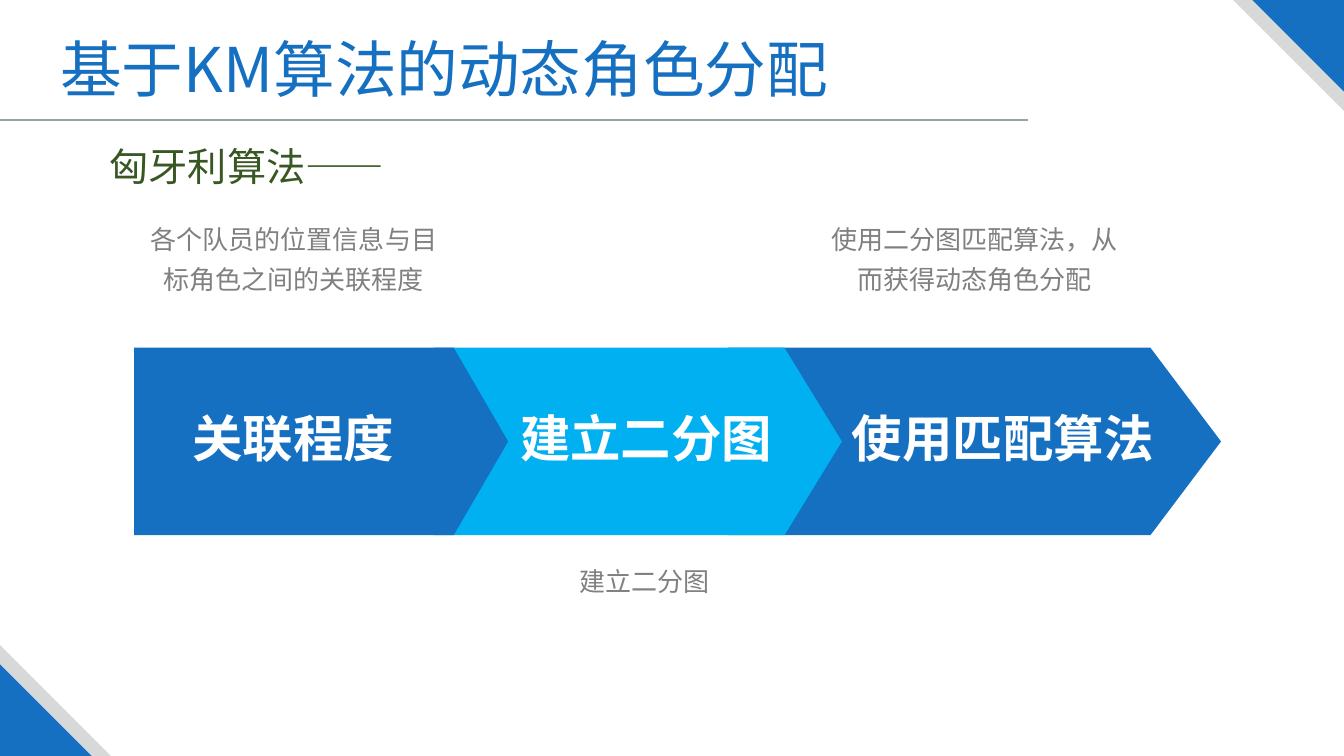
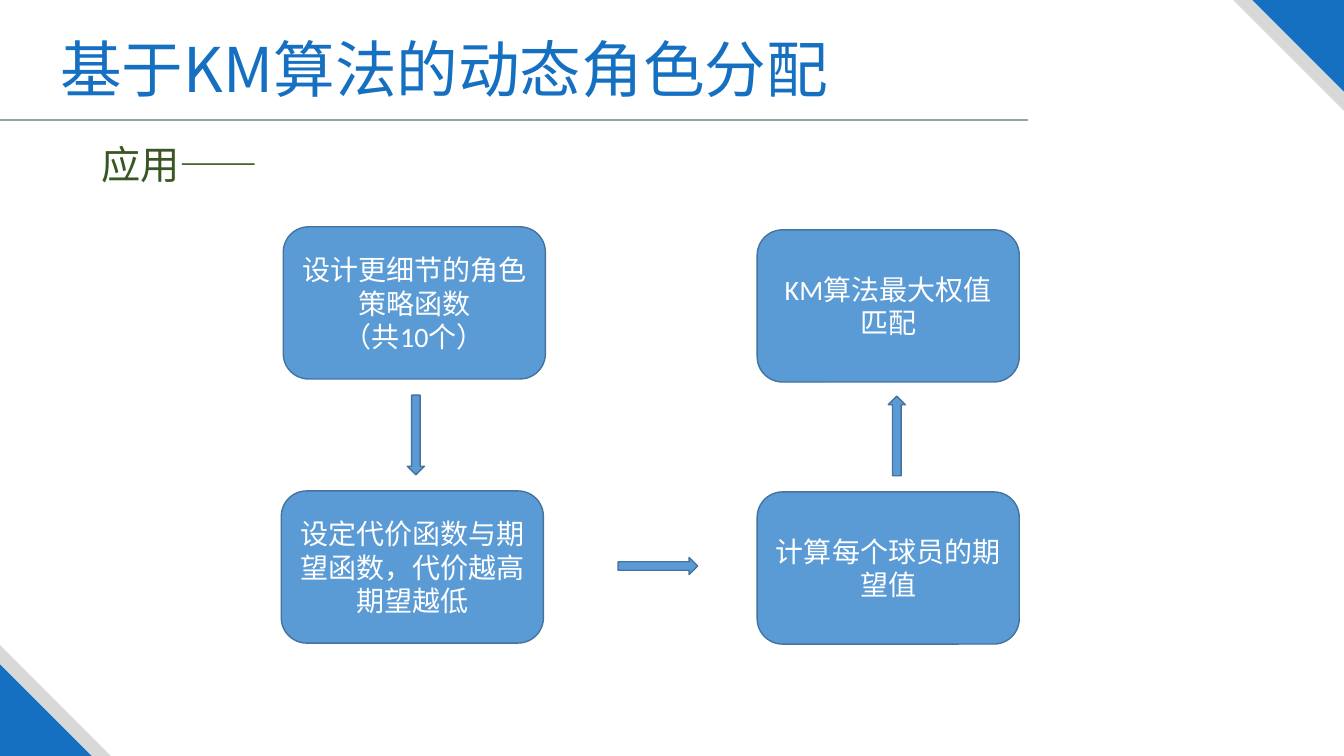
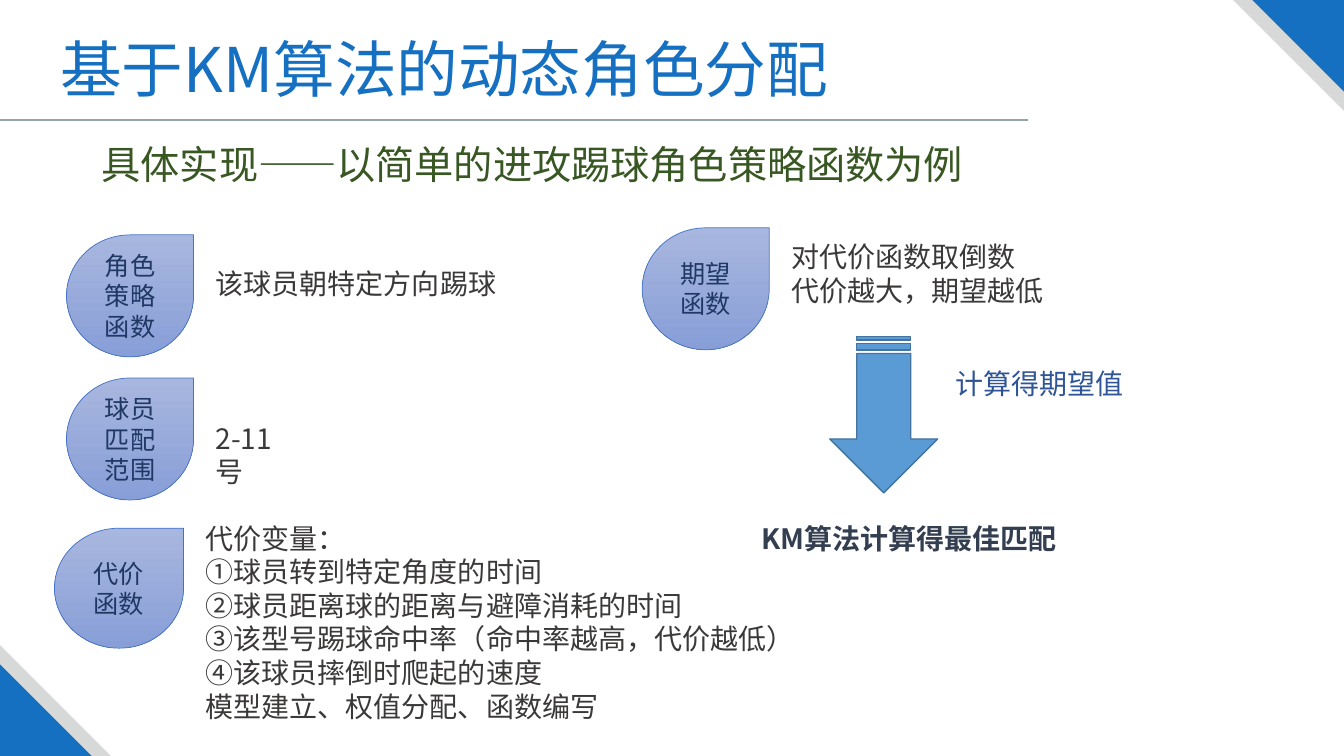
from lxml.etree import SubElement
from pptx import Presentation
from pptx.dml.color import RGBColor
from pptx.enum.shapes import MSO_CONNECTOR, MSO_SHAPE
from pptx.enum.text import MSO_ANCHOR, PP_ALIGN
from pptx.oxml.ns import qn
from pptx.util import Inches, Pt

WIDTH, HEIGHT = 13.33, 7.5
BLUE, SKY, PALE = "1570C1", "00B0F0", "D7D8D8"
FLOW, FLOW_EDGE = "5B9BD5", "43739E"
DROP_TOP, DROP_BOTTOM, DROP_EDGE, DROP_TEXT = "A8B7DF", "889ED7", "4472C4", "203864"
RULE, GREEN, GREY, INK, WHITE = "95A5A6", "385723", "808080", "3B3838", "FFFFFF"
CJK = "Noto Sans CJK SC"


def rgb(value):
    return RGBColor.from_string(value)


class Deck:
    """Holds the shared style and draws elements on the current slide."""

    def __init__(self):
        self.prs = Presentation()
        self.prs.slide_width, self.prs.slide_height = Inches(WIDTH), Inches(HEIGHT)

    def new_slide(self, subtitle, left, top):
        self.shapes = self.prs.slides.add_slide(self.prs.slide_layouts[6]).shapes
        for size, color in ((1.1, PALE), (0.91, BLUE)):
            self.shape(MSO_SHAPE.RIGHT_TRIANGLE, (0, HEIGHT - size, size, size), color)
            self.shape(MSO_SHAPE.RIGHT_TRIANGLE, (WIDTH - size, 0, size, size), color, rotation=180)
        rule = self.shapes.add_connector(
            MSO_CONNECTOR.STRAIGHT, 0, Inches(1.19), Inches(10.2), Inches(1.19))
        rule.line.color.rgb = rgb(RULE)
        rule.line.width = Pt(2)
        SubElement(rule._element.spPr, qn("a:effectLst"))
        self.text("基于KM算法的动态角色分配", (0.5, 0.26, 8.8, 0.84), 44, BLUE)
        self.text(subtitle, (left, top, 8.84, 0.57), 28, GREEN)

    def paint(self, shape, fill, edge=None, weight=1):
        shape.shadow.inherit = False
        shape.fill.solid()
        shape.fill.fore_color.rgb = rgb(fill)
        if edge:
            shape.line.color.rgb = rgb(edge)
            shape.line.width = Pt(weight)
        else:
            shape.line.fill.background()

    def shape(self, preset, box, fill, edge=None, weight=1, rotation=0):
        shape = self.shapes.add_shape(preset, *map(Inches, box))
        self.paint(shape, fill, edge, weight)
        shape.rotation = rotation
        return shape

    def outline(self, points, fill):
        corners = [(Inches(x), Inches(y)) for x, y in points]
        builder = self.shapes.build_freeform(*corners[0])
        builder.add_line_segments(corners[1:], close=True)
        self.paint(builder.convert_to_shape(), fill)

    def set_text(self, shape, text, size, color, font=CJK, bold=False,
                 align=PP_ALIGN.LEFT, anchor=MSO_ANCHOR.TOP, spacing=None):
        frame = shape.text_frame
        frame.word_wrap = True
        frame.vertical_anchor = anchor
        frame.text = text
        for paragraph in frame.paragraphs:
            paragraph.alignment = align
            if spacing:
                paragraph.line_spacing = spacing
            paragraph.font.size = Pt(size)
            paragraph.font.bold = bold
            paragraph.font.color.rgb = rgb(color)
            paragraph.font.name = font
            SubElement(paragraph.font._element, qn("a:ea"), typeface=CJK)

    def text(self, text, box, size, color, **style):
        self.set_text(self.shapes.add_textbox(*map(Inches, box)), text, size, color, **style)

    def step(self, text, left, top):
        card = self.shape(MSO_SHAPE.ROUNDED_RECTANGLE, (left, top, 2.6, 1.51), FLOW, FLOW_EDGE)
        self.set_text(card, text, 20, WHITE, font="Calibri",
                      align=PP_ALIGN.CENTER, anchor=MSO_ANCHOR.MIDDLE)

    def arrow(self, left, top, rotation):
        self.shape(MSO_SHAPE.DOWN_ARROW, (left, top, 0.17, 0.79), FLOW, FLOW_EDGE, rotation=rotation)

    def drop(self, text, box):
        drop = self.shape(MSO_SHAPE.TEAR, box, DROP_TOP, DROP_EDGE, 0.5)
        drop.fill.gradient()
        drop.fill.gradient_angle = 270
        for stop, color in zip(drop.fill.gradient_stops, (DROP_TOP, DROP_BOTTOM)):
            stop.color.rgb = rgb(color)
        self.set_text(drop, text, 18, DROP_TEXT, align=PP_ALIGN.CENTER, anchor=MSO_ANCHOR.MIDDLE)


def hungarian_slide(deck):
    deck.new_slide("匈牙利算法——", 0.99, 1.36)
    top, middle, bottom = 3.45, 4.38, 5.31
    for label, label_left, label_width, left, shoulder, tip, color in (
            ("使用匹配算法", 8.35, 3.57, 7.22, 11.41, 12.11, BLUE),
            ("建立二分图", 5.06, 2.79, 4.3, 7.78, 8.35, SKY),
            ("关联程度", 1.81, 2.3, 1.33, 4.5, 5.04, BLUE)):
        deck.outline([(left, top), (shoulder, top), (tip, middle),
                      (shoulder, bottom), (left, bottom)], color)
        deck.text(label, (label_left, 3.99, label_width, 0.77), 36, WHITE, bold=True)
    for caption, left, caption_top, height in (
            ("各个队员的位置信息与目标角色之间的关联程度", 1.33, 2.07, 1.01),
            ("建立二分图", 4.81, 5.47, 0.56),
            ("使用二分图匹配算法，从而获得动态角色分配", 8.08, 2.07, 1.01)):
        deck.text(caption, (left, caption_top, 3.17, height), 18.6, GREY,
                  align=PP_ALIGN.CENTER, spacing=1.3)


def application_slide(deck):
    deck.new_slide("应用——", 0.91, 1.34)
    for step in (("设计更细节的角色策略函数\n（共10个）", 2.81, 2.25),
                 ("设定代价函数与期望函数，代价越高期望越低", 2.79, 4.87),
                 ("计算每个球员的期望值", 7.51, 4.88),
                 ("KM算法最大权值匹配", 7.51, 2.28)):
        deck.step(*step)
    for arrow in ((4.04, 3.92, 0), (6.44, 5.22, 270), (8.81, 3.93, 180)):
        deck.arrow(*arrow)


def implementation_slide(deck):
    deck.new_slide("具体实现——以简单的进攻踢球角色策略函数为例", 0.91, 1.34)
    costs = "\n".join((
        "代价变量：",
        "①球员转到特定角度的时间",
        "②球员距离球的距离与避障消耗的时间",
        "③该型号踢球命中率（命中率越高，代价越低）",
        "④该球员摔倒时爬起的速度",
        "模型建立、权值分配、函数编写"))
    for name, drop_box, detail, detail_box in (
            ("角色策略函数", (0.66, 2.33, 1.26, 1.21),
             "该球员朝特定方向踢球", (2.04, 2.59, 3.05, 0.44)),
            ("球员匹配范围", (0.66, 3.75, 1.26, 1.21),
             "2-11号", (2.04, 4.13, 1, 0.77)),
            ("代价函数", (0.54, 5.24, 1.28, 1.19), costs, (1.94, 5.12, 6.19, 2.12)),
            ("期望函数", (6.37, 2.26, 1.26, 1.21),
             "对代价函数取倒数\n代价越大，期望越低", (7.75, 2.33, 2.8, 0.77))):
        deck.drop(name, drop_box)
        deck.text(detail, detail_box, 20, INK)
    deck.shape(MSO_SHAPE.STRIPED_RIGHT_ARROW, (7.99, 3.58, 1.55, 1.07),
               FLOW, FLOW_EDGE, rotation=90)
    deck.text("计算得期望值", (9.38, 3.59, 3.1, 0.44), 20, "2F5597")
    deck.text("KM算法计算得最佳匹配", (7.45, 5.12, 3.32, 0.44), 20, "333F50", bold=True)


def main():
    deck = Deck()
    hungarian_slide(deck)
    application_slide(deck)
    implementation_slide(deck)
    deck.prs.save("out.pptx")


if __name__ == "__main__":
    main()
